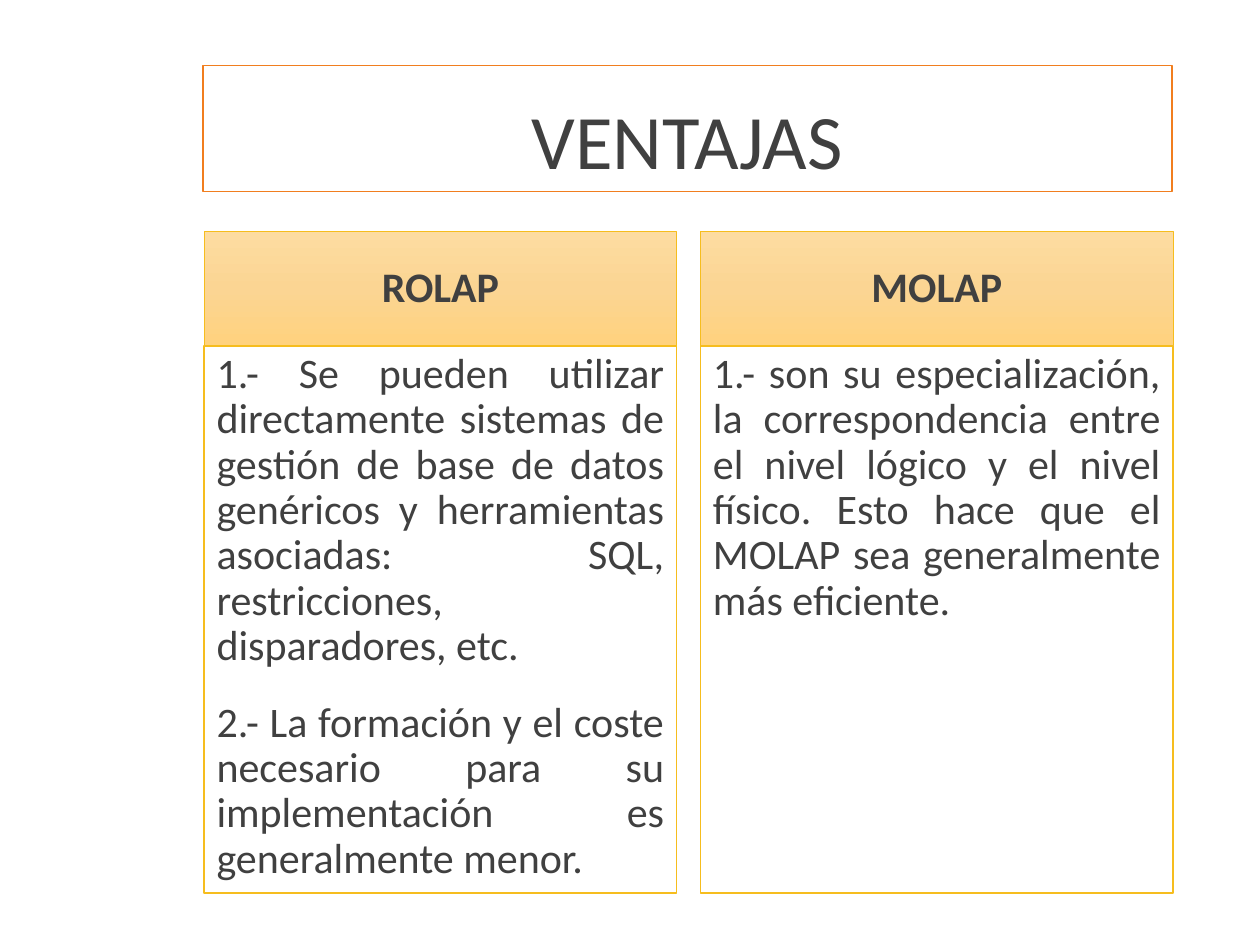
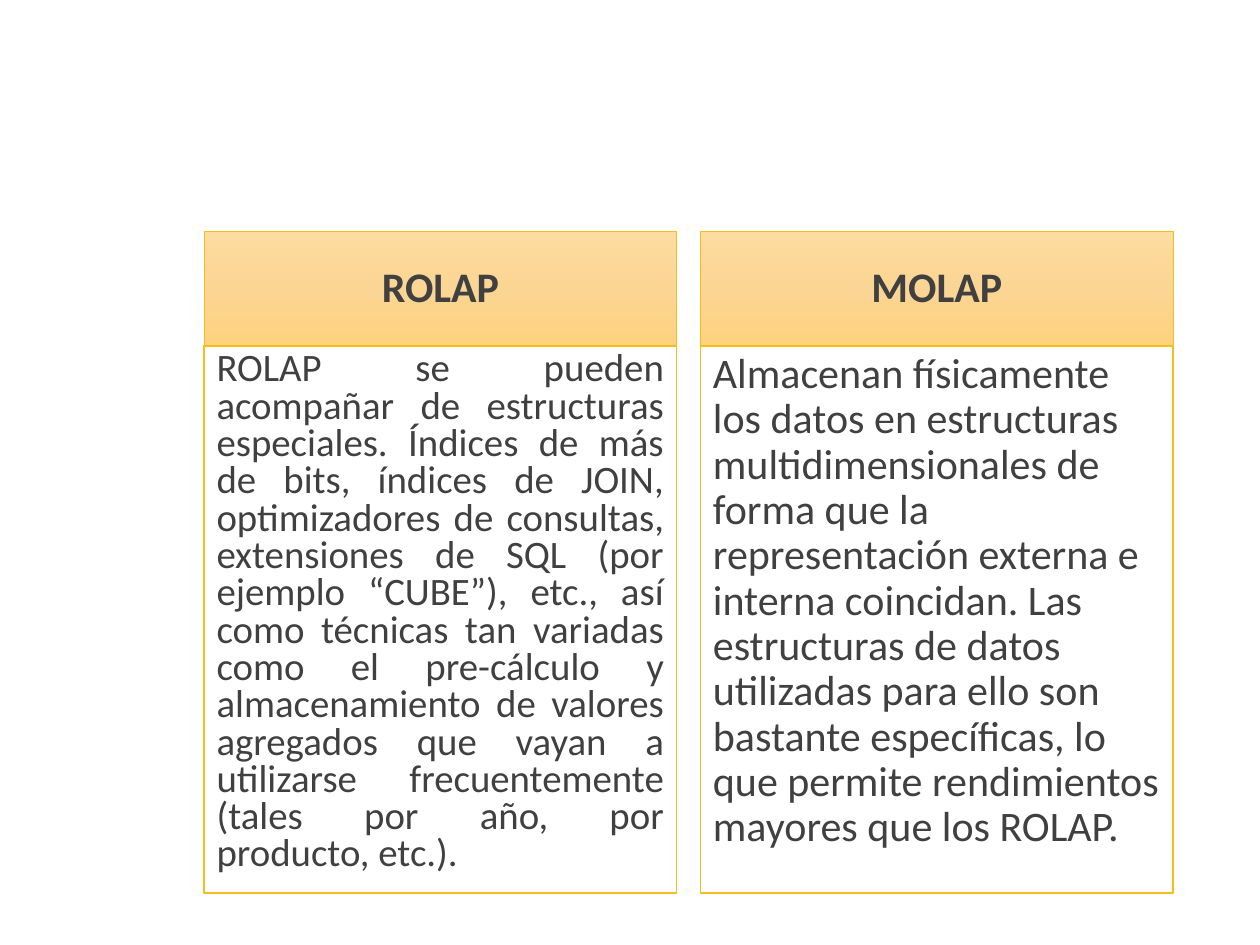
import copy
import pptx
import pptx.util
import pptx.dml.color
import pptx.enum.shapes
import pptx.enum.text

Pt = pptx.util.Pt
Align = pptx.enum.text.PP_ALIGN
Anchor = pptx.enum.text.MSO_ANCHOR

COLORS = {
    "text": "404040", "white": "FFFFFF", "title": "F17E1F", "edge": "F6BD1E",
    "light": "FDDCA1", "mid": "FBD593", "deep": "FFD27E",
}
LEFT, STEP, WIDTH = 116.64, 283.68, 270
TOP, HEAD, BODY = 132.48, 65.2, 312.5


def rgb(name):
    return pptx.dml.color.RGBColor.from_string(COLORS[name])


class Deck:
    def __init__(self):
        self.prs = pptx.Presentation()
        self.prs.slide_width, self.prs.slide_height = Pt(720), Pt(540)
        self.slide = None

    def start(self, title=None):
        layout = self.prs.slide_layouts[5 if title else 6]
        self.slide = self.prs.slides.add_slide(layout)
        if title:
            self.title(title)

    def title(self, text):
        shape = self.slide.shapes.title
        place = {"left": 115.92, "top": 37.44, "width": 553.68, "height": 72}
        for key, value in place.items():
            setattr(shape, key, Pt(value))
        self.paint(shape, "title", 1)
        self.label(shape, [text], Anchor.BOTTOM, Align.CENTER, size=44, space=0.85)

    def paint(self, shape, edge, weight):
        shape.fill.solid()
        shape.fill.fore_color.rgb = rgb("white")
        shape.line.color.rgb = rgb(edge)
        shape.line.width = Pt(weight)

    def shade(self, shape):
        shape.fill.gradient()
        shape.fill.gradient_angle = 270
        stops = shape.element.xpath(".//a:gsLst")[0]
        stops.append(copy.deepcopy(stops[0]))
        marks = ((0, "light"), (0.5, "mid"), (1, "deep"))
        for stop, (place, name) in zip(shape.fill.gradient_stops, marks):
            stop.position = place
            stop.color.rgb = rgb(name)

    def label(self, shape, texts, anchor, align, size=24, space=0.9, bold=False):
        frame = shape.text_frame
        style = {
            "word_wrap": True, "auto_size": pptx.enum.text.MSO_AUTO_SIZE.NONE,
            "vertical_anchor": anchor, "margin_left": Pt(7.2),
            "margin_right": Pt(7.2), "margin_top": Pt(3.6), "margin_bottom": Pt(3.6),
        }
        for key, value in style.items():
            setattr(frame, key, value)
        font = {"name": "Calibri", "size": Pt(size), "bold": bold}
        for order, text in enumerate(texts):
            para = frame.add_paragraph() if order else frame.paragraphs[0]
            para.text = text
            para.alignment = align
            para.line_spacing = space
            para.space_before = Pt(18 if order else 0)
            for key, value in font.items():
                setattr(para.font, key, value)
            para.font.color.rgb = rgb("text")

    def box(self, left, top, height, weight):
        shape = self.slide.shapes.add_shape(
            pptx.enum.shapes.MSO_SHAPE.RECTANGLE,
            Pt(left), Pt(top), Pt(WIDTH), Pt(height))
        shape.shadow.inherit = False
        self.paint(shape, "edge", weight)
        return shape

    def column(self, order, name, texts, align=Align.JUSTIFY, **style):
        left = LEFT + order * STEP
        head = self.box(left, TOP, HEAD, 0.5)
        self.shade(head)
        self.label(head, [name], Anchor.MIDDLE, Align.CENTER, bold=True)
        body = self.box(left, TOP + HEAD, BODY, 1)
        self.label(body, texts, Anchor.TOP, align, **style)


def main():
    deck = Deck()

    deck.start("VENTAJAS")
    deck.column(0, "ROLAP", [
        "1.- Se pueden utilizar directamente sistemas de gestión de base de datos "
        "genéricos y herramientas asociadas: SQL, restricciones, disparadores, etc.",
        "2.- La formación y el coste necesario para su implementación es "
        "generalmente menor.",
    ])
    deck.column(1, "MOLAP", [
        "1.- son su especialización, la correspondencia entre el nivel lógico y el "
        "nivel físico. Esto hace que el MOLAP sea generalmente más eficiente.",
    ])

    deck.start()
    deck.column(0, "ROLAP", [
        "ROLAP se pueden acompañar de estructuras especiales. Índices de más de "
        "bits, índices de JOIN, optimizadores de consultas, extensiones de SQL (por "
        "ejemplo “CUBE”), etc., así como técnicas tan variadas como el pre-cálculo y "
        "almacenamiento de valores agregados que vayan a utilizarse frecuentemente "
        "(tales por año, por producto, etc.).",
    ], size=22.2, space=0.8)
    deck.column(1, "MOLAP", [
        "Almacenan físicamente los datos en estructuras multidimensionales de forma "
        "que la representación externa e interna coincidan. Las estructuras de datos "
        "utilizadas para ello son bastante específicas, lo que permite rendimientos "
        "mayores que los ROLAP.",
    ], align=Align.LEFT)

    deck.prs.save("out.pptx")


if __name__ == "__main__":
    main()
